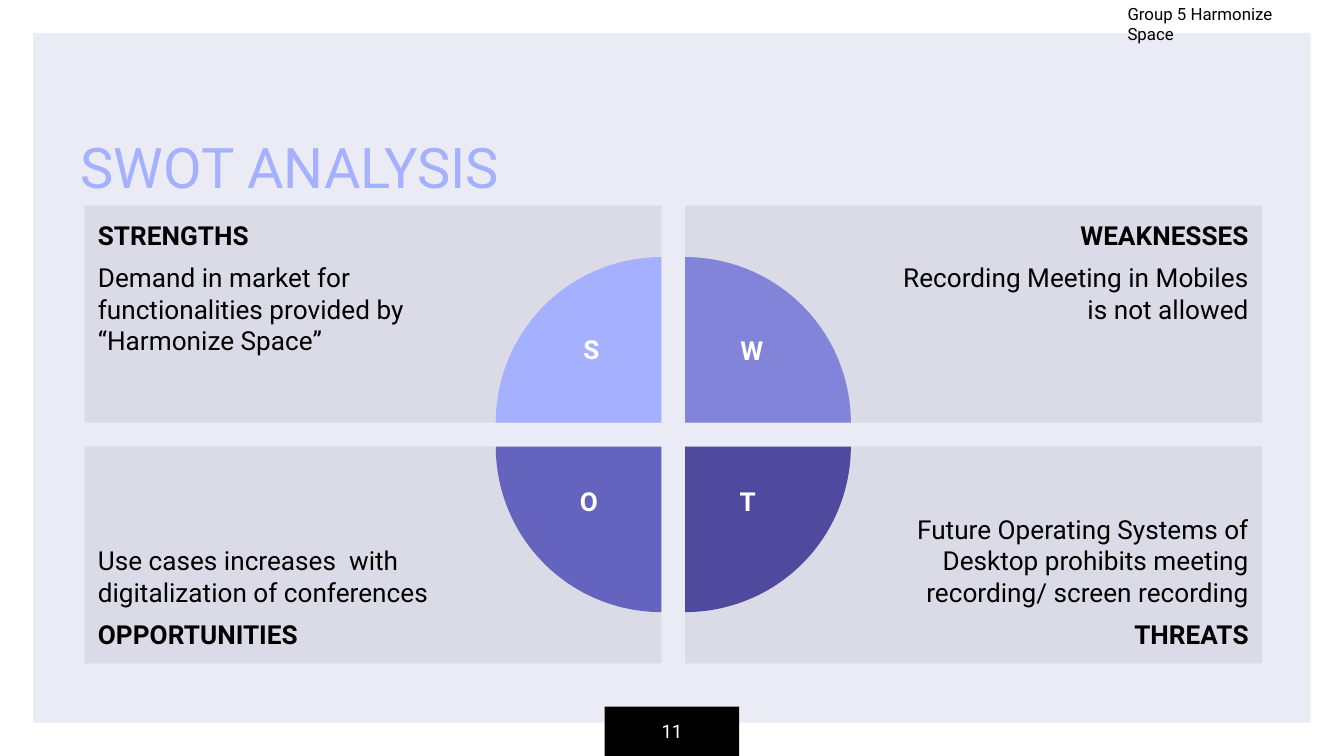
"""Build a SWOT analysis slide with four panels around a split circle."""
from pptx import Presentation
from pptx.dml.color import RGBColor
from pptx.enum.shapes import MSO_SHAPE as Shape
from pptx.enum.text import MSO_ANCHOR as Anchor, PP_ALIGN as Align
from pptx.util import Cm, Pt

WHITE = RGBColor(0xFF, 0xFF, 0xFF)
BLACK = RGBColor(0x00, 0x00, 0x00)
MIST = RGBColor(0xEA, 0xEB, 0xF4)
GREY = RGBColor(0xDA, 0xDB, 0xE6)
LILAC = RGBColor(0xA5, 0xB0, 0xFE)
VIOLET = RGBColor(0x81, 0x84, 0xD9)
INDIGO = RGBColor(0x64, 0x63, 0xBD)
PURPLE = RGBColor(0x4F, 0x4A, 0x9E)

LEFT, TOP, WIDE, HIGH, GAP = 1.6, 3.89, 10.9, 4.1, 0.45
RADIUS = 3.13

PANELS = [
    (0, 0, "STRENGTHS", "Demand in market for functionalities provided by “Harmonize Space”"),
    (0, 1, "WEAKNESSES", "Recording Meeting in Mobiles is not allowed"),
    (1, 0, "OPPORTUNITIES", "Use cases increases  with digitalization of conferences"),
    (1, 1, "THREATS", "Future Operating Systems of Desktop prohibits meeting recording/ screen recording"),
]
WEDGES = [
    (0, 0, 0, LILAC),
    (0, 1, 90, VIOLET),
    (1, 1, 180, PURPLE),
    (1, 0, 270, INDIGO),
]
LETTERS = [
    ("S", 11.18, 6.17),
    ("W", 14.21, 6.2),
    ("O", 11.13, 9.04),
    ("T", 14.13, 9.04),
]


class Deck:
    """Hold the style and the current slide, and draw each kind of element."""

    face = "Roboto"
    inset = 0.25

    def __init__(self, wide, high):
        self.show = Presentation()
        self.show.slide_width, self.show.slide_height = Cm(wide), Cm(high)
        self.slide = self.show.slides.add_slide(self.show.slide_layouts[6])
        back = self.slide.background.fill
        back.solid()
        back.fore_color.rgb = MIST

    def shape(self, kind, box, color, turn=0, adjust=()):
        item = self.slide.shapes.add_shape(kind, *map(Cm, box))
        item.shadow.inherit = False
        item.fill.solid()
        item.fill.fore_color.rgb = color
        item.line.fill.background()
        item.rotation = turn
        for spot, value in enumerate(adjust):
            item.adjustments[spot] = value
        return item

    def label(self, frame, lines, size, color, align=Align.LEFT, **style):
        edge = Cm(self.inset)
        base = {"word_wrap": True, "vertical_anchor": Anchor.TOP,
                "margin_left": edge, "margin_right": edge,
                "margin_top": edge, "margin_bottom": edge}
        for name, value in {**base, **style}.items():
            setattr(frame, name, value)
        for spot, (text, bold) in enumerate(lines):
            para = frame.add_paragraph() if spot else frame.paragraphs[0]
            para.alignment = align
            if spot:
                para.space_before = Pt(6)
            run = para.add_run()
            run.text = text
            looks = {"name": self.face, "size": Pt(size), "bold": bold}
            for name, value in looks.items():
                setattr(run.font, name, value)
            run.font.color.rgb = color

    def text(self, box, words, size, color, bold=False, **style):
        item = self.slide.shapes.add_textbox(*map(Cm, box))
        self.label(item.text_frame, [(words, bold)], size, color, **style)

    def panel(self, row, col, head, body):
        box = (LEFT + col * (WIDE + GAP), TOP + row * (HIGH + GAP), WIDE, HIGH)
        item = self.shape(Shape.RECTANGLE, box, GREY)
        lines = [(head, True), (body, False)]
        inner = "margin_left" if col else "margin_right"
        style = {"align": Align.RIGHT if col else Align.LEFT,
                 "vertical_anchor": Anchor.BOTTOM if row else Anchor.TOP,
                 inner: Cm(3.81)}
        self.label(item.text_frame, lines[::-1] if row else lines, 14, BLACK, **style)

    def wedge(self, row, col, turn, color):
        box = (LEFT + WIDE + col * GAP - RADIUS, TOP + HIGH + row * GAP - RADIUS,
               2 * RADIUS, 2 * RADIUS)
        self.shape(Shape.PIE, box, color, turn, (108, 162))

    def letter(self, sign, mid, top):
        self.text((mid - 0.75, top, 1.5, 1.15), sign, 14, WHITE, True,
                  align=Align.CENTER, margin_top=Cm(0.13))

    def save(self):
        self.show.save("out.pptx")


def main():
    deck = Deck(25.4, 14.29)
    deck.shape(Shape.FRAME, (0, 0, 25.4, 14.29), WHITE, adjust=(0.044,))
    tab = (11.43, 13.36, 2.54, 0.93)
    deck.shape(Shape.RECTANGLE, tab, BLACK)
    deck.text((21.06, -0.18, 3.91, 0.9), "Group 5 Harmonize Space", 9, BLACK)
    deck.text((1.27, 1.63, 14.27, 2.39), "SWOT ANALYSIS", 30, LILAC,
              vertical_anchor=Anchor.BOTTOM)
    deck.text(tab, "11", 10, WHITE, align=Align.CENTER, vertical_anchor=Anchor.MIDDLE)
    for panel in PANELS:
        deck.panel(*panel)
    for wedge in WEDGES:
        deck.wedge(*wedge)
    for letter in LETTERS:
        deck.letter(*letter)
    deck.save()


if __name__ == "__main__":
    main()
